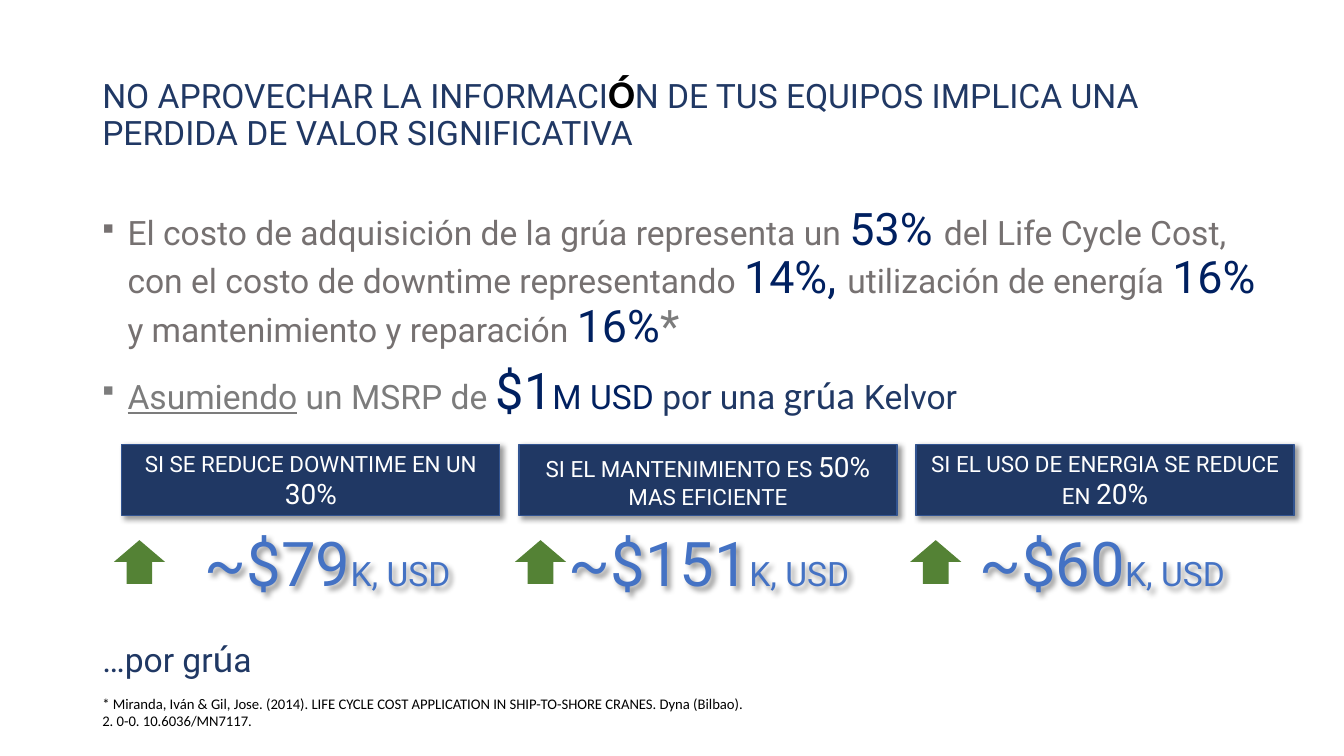
"""Builds the slide on the value lost when crane equipment data goes unused."""
from lxml.etree import SubElement
from pptx import Presentation
from pptx.dml.color import RGBColor as Rgb
from pptx.enum.shapes import MSO_SHAPE as Preset
from pptx.enum.text import MSO_ANCHOR as Anchor, PP_ALIGN as Align
from pptx.oxml.ns import qn
from pptx.util import Emu, Inches, Pt

CELL = Inches(1) // 12
COLUMNS, ROWS = 160, 90
MARGIN = 11
COLORS = {
    "navy": "203864", "ink": "002060", "gray": "767171", "soft": "7C7C7C",
    "edge": "325491", "blue": "4472C4", "green": "548235",
    "white": "FFFFFF", "black": "000000",
}
SAVINGS = [
    ([("SI SE REDUCE DOWNTIME EN UN ", 16), ("30%", 20)], "~$79", 17, 13.55),
    ([("SI EL MANTENIMIENTO ES ", 16), ("50% ", 20), ("MAS EFICIENTE", 16)],
     "~$151", 62.4, 61.3),
    ([("SI EL USO DE ENERGIA SE REDUCE EN ", 16), ("20%", 20)],
     "~$60", 109.2, 108.35),
]


def grid(*cells):
    return [Emu(round(cell * CELL)) for cell in cells]


def color(name):
    return Rgb.from_string(COLORS[name])


def write(para, text, size=24, tint="navy", font="Roboto", bold=False, underline=False):
    span = para.add_run()
    span.text = text
    span.font.size = Pt(size)
    span.font.name = font
    span.font.bold = bold
    span.font.underline = underline
    span.font.color.rgb = color(tint)


def add_box(page, *cells, anchor=Anchor.TOP):
    box = page.shapes.add_textbox(*grid(*cells))
    box.text_frame.word_wrap = True
    box.text_frame.vertical_anchor = anchor
    return box


def add_block(page, preset, *cells, fill):
    block = page.shapes.add_shape(preset, *grid(*cells))
    block.shadow.inherit = False
    block.fill.solid()
    block.fill.fore_color.rgb = color(fill)
    block.line.fill.background()
    return block


def drop_shadow(shape):
    shape.shadow.inherit = False
    effects = shape.element.spPr.find(qn("a:effectLst"))
    outer = SubElement(effects, qn("a:outerShdw"), blurRad=str(Pt(4)),
                       dist=str(Pt(3)), dir="2700000", algn="tl", rotWithShape="0")
    tone = SubElement(outer, qn("a:srgbClr"), val=COLORS["black"])
    SubElement(tone, qn("a:alpha"), val="40000")


def make_bullet(para):
    props = para._p.get_or_add_pPr()
    props.set("marL", str(Inches(0.25)))
    props.set("indent", str(-Inches(0.25)))
    SubElement(props, qn("a:buFont"), typeface="Arial")
    SubElement(props, qn("a:buChar"), char="▪")
    para.line_spacing = 0.9


def add_title(page):
    box = add_box(page, MARGIN, 8.16, 138, 10.7, anchor=Anchor.MIDDLE)
    para = box.text_frame.paragraphs[0]
    para.line_spacing = 0.9
    write(para, "NO APROVECHAR LA INFORMACI")
    write(para, "Ó", size=28, tint="black", font="Calibri", bold=True)
    write(para, "N DE TUS EQUIPOS IMPLICA UNA PERDIDA DE VALOR SIGNIFICATIVA")


def add_bullets(page):
    frame = add_box(page, MARGIN, 24, 141, 28).text_frame
    costs = frame.paragraphs[0]
    make_bullet(costs)
    for text, share in [
        ("El costo de adquisición de la grúa representa un ", "53% "),
        ("del Life Cycle Cost, con el costo de downtime representando ", "14%, "),
        ("utilización de energía ", "16% "),
        ("y mantenimiento y reparación ", "16%"),
    ]:
        write(costs, text, tint="gray")
        write(costs, share, size=32, tint="ink")
    write(costs, "*", size=32, tint="soft")

    price = frame.add_paragraph()
    make_bullet(price)
    price.space_before = Pt(10)
    write(price, "Asumiendo", tint="soft", underline=True)
    write(price, " un MSRP de ", tint="soft")
    write(price, "$1", size=36, tint="ink")
    write(price, "M USD ", tint="ink")
    write(price, "por una ")
    write(price, "grúa ", size=28, font="Calibri")
    write(price, "Kelvor")


def add_saving(page, column, heading, amount, amount_left, arrow_left):
    card = add_block(page, Preset.RECTANGLE, 14.5 + 47.28 * column, 52.9, 45, 8.5,
                     fill="navy")
    card.line.color.rgb = color("edge")
    card.line.width = Pt(1)
    drop_shadow(card)
    card.text_frame.word_wrap = True
    card.text_frame.vertical_anchor = Anchor.MIDDLE
    label = card.text_frame.paragraphs[0]
    label.alignment = Align.CENTER
    for text, size in heading:
        write(label, text, size=size, tint="white")

    box = add_box(page, amount_left, 63.5, 44, 6.8, anchor=Anchor.MIDDLE)
    drop_shadow(box)
    value = box.text_frame.paragraphs[0]
    value.alignment = Align.CENTER
    write(value, amount, size=44, tint="blue")
    write(value, "K, USD", tint="blue")

    add_block(page, Preset.UP_ARROW, arrow_left, 64.3, 6.1, 5.2, fill="green")


def add_closing(page):
    para = add_box(page, MARGIN, 75.4, 40, 6.5).text_frame.paragraphs[0]
    para.line_spacing = 0.9
    write(para, "…por gr")
    write(para, "ú", size=28, font="Calibri")
    write(para, "a")
    note = add_box(page, MARGIN, 82.1, 80, 5.6).text_frame.paragraphs[0]
    write(note, "* Miranda, Iván & Gil, Jose. (2014). LIFE CYCLE COST APPLICATION IN "
          "SHIP-TO-SHORE CRANES. Dyna (Bilbao). 2. 0-0. 10.6036/MN7117.",
          size=10.5, tint="black", font="Calibri")


def main():
    deck = Presentation()
    deck.slide_width, deck.slide_height = grid(COLUMNS, ROWS)
    page = deck.slides.add_slide(deck.slide_layouts[6])
    add_title(page)
    add_bullets(page)
    for column, saving in enumerate(SAVINGS):
        add_saving(page, column, *saving)
    add_closing(page)
    deck.save("out.pptx")


if __name__ == "__main__":
    main()
